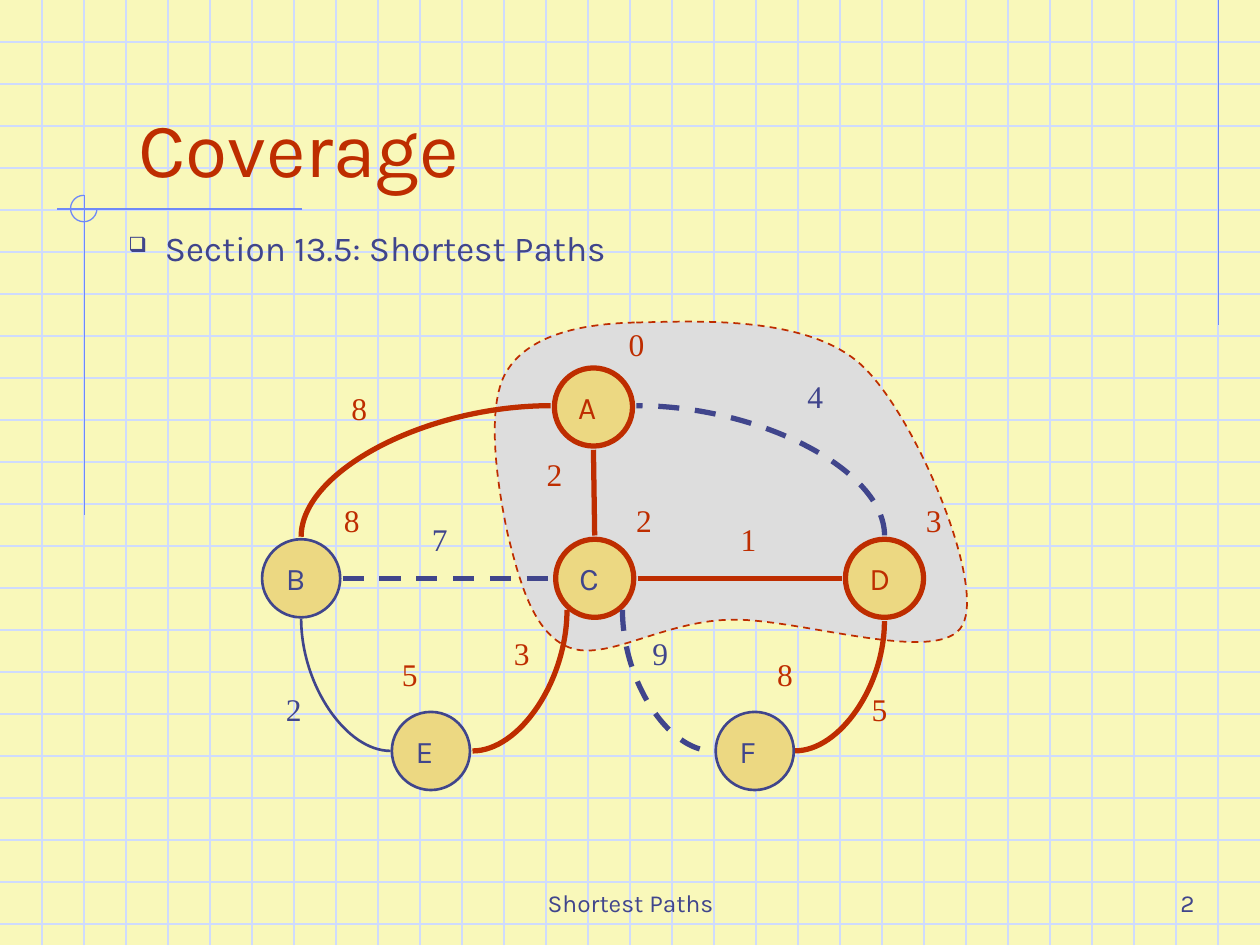
"""Build the Coverage slide: a shortest-path graph on squared paper."""
from lxml import etree
from pptx import Presentation
from pptx.dml.color import RGBColor
from pptx.enum.dml import MSO_LINE
from pptx.enum.shapes import MSO_CONNECTOR, MSO_SHAPE
from pptx.enum.text import MSO_ANCHOR, PP_ALIGN
from pptx.oxml.ns import qn
from pptx.util import Inches, Pt

STRAIGHT, CURVE = MSO_CONNECTOR.STRAIGHT, MSO_CONNECTOR.CURVE
OVAL, ARC = MSO_SHAPE.OVAL, MSO_SHAPE.ARC
DASH = MSO_LINE.DASH
LEFT, CENTER, RIGHT = PP_ALIGN.LEFT, PP_ALIGN.CENTER, PP_ALIGN.RIGHT
TOP, MIDDLE, BOTTOM = MSO_ANCHOR.TOP, MSO_ANCHOR.MIDDLE, MSO_ANCHOR.BOTTOM

COLORS = {"paper": "F9F8BA", "grid": "CFDBFD", "rule": "6F89F7", "red": "BE2D00",
          "navy": "40458C", "node": "ECD882", "cloud": "DDDDDD"}
SANS, SERIF = "Karla", "Times New Roman"
WIDTH, HEIGHT = 10, 7.5
NODE_SIZE = 0.62

RULES = [((9.67, 0), (9.67, 2.58)), ((2.4, 1.66), (0.45, 1.66)), ((0.67, 1.55), (0.67, 4.09))]

TEXTS = [
    ("Coverage", (1, 0.33, 8.5, 1.25), 44, "red", LEFT, BOTTOM),
    ("Section 13.5: Shortest Paths", (0.92, 1.75, 7.08, 0.5), 20, "navy", LEFT, TOP),
    ("2", (7.5, 6.83, 2.08, 0.5), 14, "navy", RIGHT, BOTTOM),
    ("Shortest Paths", (3.42, 6.83, 3.17, 0.5), 14, "navy", CENTER, BOTTOM),
]
BULLETED = "Section 13.5: Shortest Paths"

CLOUD = [(5.05, 2.56),
         (5.52, 2.55), (6.41, 2.5), (6.84, 2.9),
         (7.27, 3.3), (7.82, 4.63), (7.64, 4.96),
         (7.47, 5.3), (6.3, 4.89), (5.77, 4.92),
         (5.25, 4.94), (4.81, 5.25), (4.52, 5.14),
         (4.23, 5.03), (4.12, 4.6), (4.03, 4.24),
         (3.95, 3.87), (3.85, 3.23), (4.02, 2.95),
         (4.19, 2.67), (4.58, 2.57), (5.05, 2.56)]

NODES = [("C", 4.41, 4.28, "red", 3, "navy"), ("B", 2.08, 4.28, "navy", 1.5, "navy"),
         ("A", 4.4, 2.92, "red", 3, "red"), ("E", 3.11, 5.65, "navy", 1.5, "navy"),
         ("D", 6.71, 4.28, "red", 3, "red"), ("F", 5.68, 5.65, "navy", 1.5, "navy")]

EDGES = [("across", (4.37, 3.22), (2.39, 4.26), "red", 3, False),
         ("across", (3.1, 5.96), (2.39, 4.91), "navy", 1.5, False),
         ("across", (3.75, 5.96), (4.5, 4.84), "red", 3, False),
         ("straight", (4.71, 3.57), (4.72, 4.25), "red", 3, False),
         ("straight", (2.72, 4.59), (4.37, 4.59), "navy", 3, True),
         ("across", (6.31, 5.96), (7.02, 4.93), "red", 3, False),
         ("upright", (7.02, 4.25), (5.05, 3.22), "navy", 3, True),
         ("straight", (5.06, 4.59), (6.68, 4.59), "red", 3, False),
         ("upright", (4.94, 4.84), (5.66, 5.96), "navy", 3, True)]

DISTANCES = [("0", 4.89, 2.53, "red"), ("3", 7.25, 3.93, "red"), ("2", 4.95, 3.93, "red"),
             ("8", 2.63, 3.93, "red"), ("5", 3.09, 5.15, "red"), ("8", 6.07, 5.15, "red")]
WEIGHTS = [("4", 6.31, 2.94, "navy"), ("8", 2.69, 3.04, "red"), ("7", 3.33, 4.08, "navy"),
           ("1", 5.78, 4.08, "red"), ("2", 2.17, 5.43, "navy"), ("5", 6.82, 5.43, "red"),
           ("2", 4.24, 3.56, "red"), ("3", 3.98, 4.98, "red"), ("9", 5.08, 4.98, "navy")]


def rgb(name):
    return RGBColor.from_string(COLORS[name])


def inches(values):
    return [Inches(value) for value in values]


def style_line(line, color, width, dashed=False):
    line.color.rgb = rgb(color)
    line.width = Pt(width)
    if dashed:
        line.dash_style = DASH


def write(shape, text, size, color, font=SANS, align=LEFT, anchor=TOP, wrap=True):
    frame = shape.text_frame
    frame.word_wrap = wrap
    frame.vertical_anchor = anchor
    paragraph = frame.paragraphs[0]
    paragraph.text = text
    paragraph.alignment = align
    if text == BULLETED:
        add_bullet(paragraph)
    paragraph.font.size = Pt(size)
    paragraph.font.name = font
    paragraph.font.color.rgb = rgb(color)


def add_bullet(paragraph):
    properties = paragraph._p.get_or_add_pPr()
    properties.set("marL", str(Inches(0.29)))
    properties.set("indent", str(-Inches(0.29)))
    color = etree.SubElement(properties, qn("a:buClr"))
    etree.SubElement(color, qn("a:srgbClr"), val=COLORS["navy"])
    etree.SubElement(properties, qn("a:buSzPct"), val="60000")
    etree.SubElement(properties, qn("a:buChar"), char="❑")


def add_line(shapes, start, end, color, width, dashed=False, kind=STRAIGHT):
    line = shapes.add_connector(kind, *inches(start + end))
    style_line(line.line, color, width, dashed)
    etree.SubElement(line._element.spPr, qn("a:effectLst"))
    return line


def add_edge(shapes, route, start, end, color, width, dashed):
    """Draw an edge; an upright curve leaves vertically, so its box is turned 270 degrees."""
    if route == "straight":
        add_line(shapes, start, end, color, width, dashed)
        return
    if route == "upright":
        (x1, y1), (x2, y2) = start, end
        middle_x, middle_y = (x1 + x2) / 2, (y1 + y2) / 2
        half_w, half_h = (y1 - y2) / 2, (x2 - x1) / 2
        start = (middle_x - half_w, middle_y - half_h)
        end = (middle_x + half_w, middle_y + half_h)
    properties = add_line(shapes, start, end, color, width, dashed, CURVE)._element.spPr
    properties.find(qn("a:prstGeom")).set("prst", "curvedConnector2")
    if route == "upright":
        properties.find(qn("a:xfrm")).set("rot", str(270 * 60000))


def add_cloud(shapes):
    points = [tuple(inches(point)) for point in CLOUD]
    builder = shapes.build_freeform(*points[0])
    builder.add_line_segments(points[1:], close=True)
    cloud = builder.convert_to_shape()
    segments = list(cloud._element.iter(qn("a:lnTo")))
    for first, second, third in zip(segments[::3], segments[1::3], segments[2::3]):
        first.tag = qn("a:cubicBezTo")
        for other in (second, third):
            first.append(other[0])
            other.getparent().remove(other)
    cloud.shadow.inherit = False
    cloud.fill.solid()
    cloud.fill.fore_color.rgb = rgb("cloud")
    style_line(cloud.line, "red", 1, dashed=True)


def add_squared_paper(slide):
    slide.background.fill.solid()
    slide.background.fill.fore_color.rgb = rgb("paper")
    grid = slide.shapes.add_group_shape().shapes
    for step in range(1, 23):
        add_line(grid, (0, step / 3), (WIDTH, step / 3), "grid", 0.75)
    for step in range(1, 30):
        add_line(grid, (step / 3, 0), (step / 3, HEIGHT), "grid", 0.75)
    for start, end in RULES:
        add_line(grid, start, end, "rule", 0.75)
    ring = grid.add_shape(ARC, *inches((0.56, 1.55, 0.21, 0.21)))
    ring.adjustments[0] = 0
    ring.adjustments[1] = 162
    ring.shadow.inherit = False
    ring.fill.background()
    style_line(ring.line, "rule", 0.75)


def add_graph(shapes):
    add_cloud(shapes)
    for letter, left, top, outline, width, color in NODES:
        node = shapes.add_shape(OVAL, *inches((left, top, NODE_SIZE, NODE_SIZE)))
        node.shadow.inherit = False
        node.fill.solid()
        node.fill.fore_color.rgb = rgb("node")
        style_line(node.line, outline, width)
        write(node, letter, 18, color, anchor=MIDDLE, wrap=False)
    for edge in EDGES:
        add_edge(shapes, *edge)
    for number, left, top, color in DISTANCES + WEIGHTS:
        label = shapes.add_textbox(*inches((left, top, 0.32, 0.4)))
        write(label, number, 18, color, font=SERIF, wrap=False)


def main():
    presentation = Presentation()
    presentation.slide_width, presentation.slide_height = inches((WIDTH, HEIGHT))
    slide = presentation.slides.add_slide(presentation.slide_layouts[6])
    add_squared_paper(slide)
    for text, box, size, color, align, anchor in TEXTS:
        write(slide.shapes.add_textbox(*inches(box)), text, size, color, align=align, anchor=anchor)
    add_graph(slide.shapes.add_group_shape().shapes)
    presentation.save("out.pptx")


if __name__ == "__main__":
    main()
